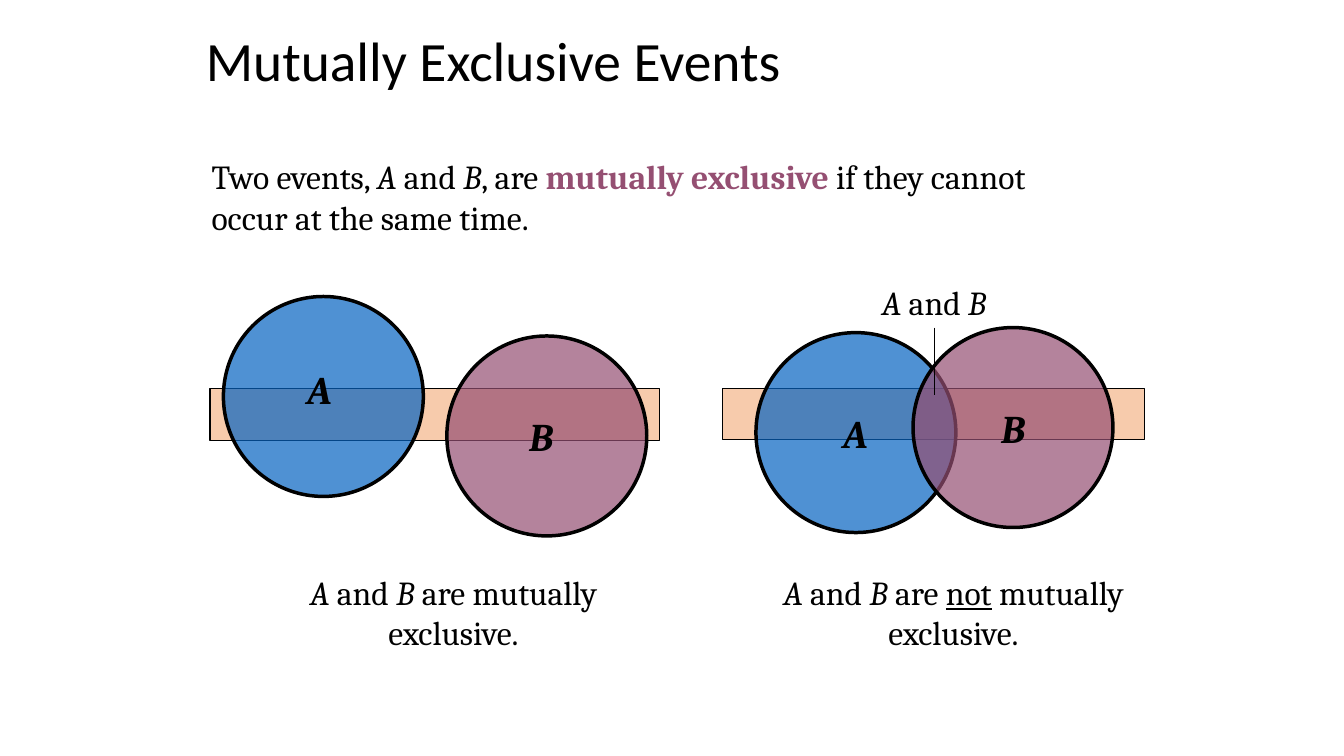
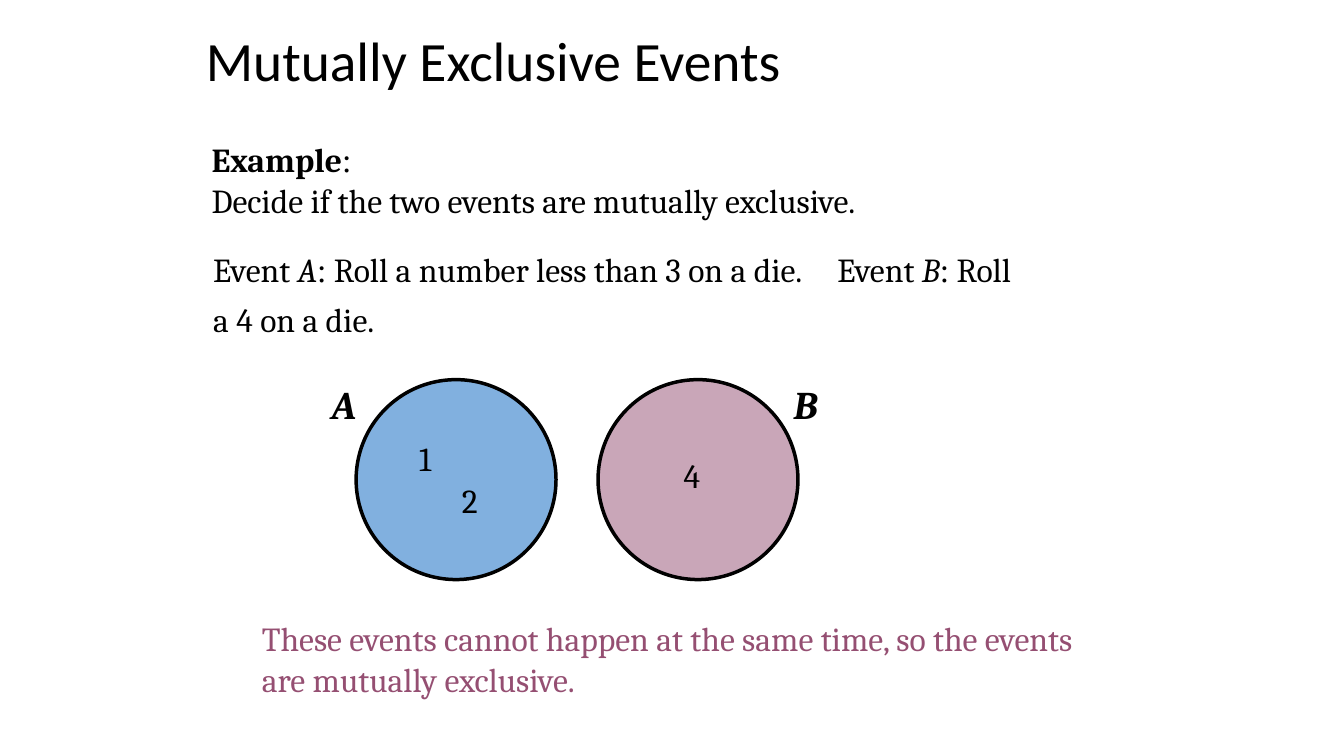
from dataclasses import dataclass
from pptx import Presentation
from pptx.dml.color import RGBColor
from pptx.enum.shapes import MSO_CONNECTOR, MSO_SHAPE
from pptx.enum.text import MSO_ANCHOR, MSO_AUTO_SIZE, PP_ALIGN
from pptx.oxml.ns import qn
from pptx.util import Inches, Pt
from lxml.etree import SubElement

WIDE, HIGH = Inches(13.33), Inches(7.5)
COLS, ROWS = 160, 90


@dataclass(frozen=True)
class Theme:
    ink: str = "000000"
    blue: str = "0563C1"
    plum: str = "954F72"
    peach: str = "ED7D31"
    head: str = "Calibri"
    body: str = "Cambria"
    colon: str = "Times New Roman"
    title: float = 39.6
    text: float = 24
    label: float = 28
    thin: float = 0.75
    thick: float = 2.5
    disc: float = 23.8  # columns


T = Theme()


def col(n):
    return round(WIDE * n / COLS)


def row(n):
    return round(HIGH * n / ROWS)


def cells(x, y, w, h):
    return col(x), row(y), col(w), row(h)


def rgb(code):
    return RGBColor.from_string(code)


def write(para, runs, size=T.text, face=T.body, color=T.ink):
    """Add (text, style) runs; style letters: b, i, u, p = plum, c = colon face."""
    for text, style in runs:
        run = para.add_run()
        run.text = text
        font = run.font
        font.size = Pt(size)
        font.name = T.colon if "c" in style else face
        font.color.rgb = rgb(T.plum if "p" in style else color)
        font.bold = "b" in style
        font.italic = "i" in style
        font.underline = "u" in style


def add_text(shapes, box, *lines, size=T.text, align=PP_ALIGN.LEFT, lead=None):
    frame = shapes.add_textbox(*cells(*box)).text_frame
    frame.word_wrap = True
    for n, runs in enumerate(lines):
        para = frame.add_paragraph() if n else frame.paragraphs[0]
        para.alignment = align
        if lead:
            para.line_spacing = lead
        write(para, runs, size)
    return frame


def add_shape(shapes, kind, box, fill, alpha, line):
    shape = shapes.add_shape(kind, *cells(*box))
    shape.shadow.inherit = False
    shape.fill.solid()
    shape.fill.fore_color.rgb = rgb(fill)
    paint = shape.fill._xPr.find(qn("a:solidFill"))[0]
    SubElement(paint, qn("a:alpha")).set("val", str(alpha * 1000))
    shape.line.color.rgb = rgb(T.ink)
    shape.line.width = Pt(line)


def add_disc(shapes, mid, fill, alpha):
    x, y = mid
    half = T.disc / 2
    box = (x - half, y - half, T.disc, T.disc)
    add_shape(shapes, MSO_SHAPE.OVAL, box, fill, alpha, T.thick)


def add_label(shapes, mid, shift, name):
    w, h = 8, 6.8
    box = (mid[0] + shift[0] - w / 2, mid[1] + shift[1] - h / 2, w, h)
    add_text(shapes, box, [(name, "bi")], size=T.label, align=PP_ALIGN.CENTER)


def add_venn(slide, band, sets):
    """Draw discs over a band; sets holds name, colour, centre from the band's corner, label shift."""
    shapes = slide.shapes.add_group_shape().shapes
    add_shape(shapes, MSO_SHAPE.RECTANGLE, band, T.peach, 40, T.thin)
    sets = [(n, c, (band[0] + x, band[1] + y), s) for n, c, (x, y), s in sets]
    for _, color, mid, _ in sets:
        add_disc(shapes, mid, color, 70)
    for name, _, mid, shift in sets:
        add_label(shapes, mid, shift, name)
    return shapes


def add_callout(shapes, x, y):
    """Name the overlap at column x, with a line down from row y."""
    add_text(shapes, (x - 10, y - 6, 20, 6),
             [("A ", "i"), ("and ", ""), ("B", "i")], align=PP_ALIGN.CENTER)
    line = shapes.add_connector(MSO_CONNECTOR.STRAIGHT,
                                col(x), row(y), col(x), row(y + 8))
    line.line.color.rgb = rgb(T.ink)
    line.line.width = Pt(T.thin)
    SubElement(line._element.spPr, qn("a:effectLst"))


def add_event(slide, mid, name, color, shift, marks):
    shapes = slide.shapes.add_group_shape().shapes
    add_label(shapes, mid, shift, name)
    add_disc(shapes, mid, color, 50)
    for text, x, y in marks:
        add_text(shapes, (mid[0] + x, mid[1] + y, 7, 6), [(text, "")])


def add_slide(deck):
    slide = deck.slides.add_slide(deck.slide_layouts[5])
    title = slide.shapes.title
    title.left, title.top, title.width, title.height = cells(23.3, 3.4, 113.3, 8.3)
    frame = title.text_frame
    frame.auto_size = MSO_AUTO_SIZE.NONE
    frame.vertical_anchor = MSO_ANCHOR.MIDDLE
    para = frame.paragraphs[0]
    para.alignment = PP_ALIGN.LEFT
    para.line_spacing = 0.9
    write(para, [("Mutually Exclusive Events", "")], T.title, T.head)
    return slide


def define(deck):
    slide = add_slide(deck)
    add_text(slide.shapes, (24, 18, 107, 11), [
        ("Two events, ", ""), ("A ", "i"), ("and ", ""), ("B", "i"),
        (", are ", ""), ("mutually exclusive", "bp"),
        (" if they cannot occur at the same time.", "")])
    add_venn(slide, (25, 46.3, 53.5, 6.1), [
        ("A", T.blue, (13.5, 0.9), (-0.5, -0.9)),
        ("B", T.plum, (40.1, 5.6), (-0.7, 0))])
    apart = [("are mutually exclusive.", "")]
    meet = [("are ", ""), ("not", "u"), (" mutually exclusive.", "")]
    shapes = add_venn(slide, (86, 46.2, 50.2, 6.1), [
        ("A", T.blue, (15.9, 5.3), (-0.1, 0)),
        ("B", T.plum, (34.6, 4.7), (0, 0))])
    add_callout(shapes, 111.2, 39)
    for x, w, tail in ((33, 42, apart), (91, 45, meet)):
        runs = [("A ", "i"), ("and ", ""), ("B", "i"), (" ", ""), *tail]
        add_text(slide.shapes, (x, 67.5, w, 11), runs, align=PP_ALIGN.CENTER)


def example(deck):
    slide = add_slide(deck)
    shapes = slide.shapes
    add_text(shapes, (24, 16, 107, 11),
             [("Example", "b"), (":", "c")],
             [("Decide if the two events are mutually exclusive.", "")])
    frame = add_text(shapes, (24.2, 27.8, 100, 13.2), [
        ("Event ", ""), ("A", "i"), (":", "c"),
        (" Roll a number less than 3 on a die.\tEvent ", ""),
        ("B", "i"), (":", "c"), (" Roll a 4 on a die.", "")], lead=1.25)
    stops = SubElement(frame.paragraphs[0]._p.get_or_add_pPr(), qn("a:tabLst"))
    stop = SubElement(stops, qn("a:tab"))
    stop.set("pos", str(col(74.3)))
    stop.set("algn", "l")
    add_text(shapes, (30, 73, 99, 11), [
        ("These events cannot happen at the same time, "
         "so the events are mutually exclusive.", "p")])
    add_event(slide, (54.3, 57.1), "A", T.blue, (-13.4, -9),
              [("1", -5.6, -5.5), ("2", -0.5, -0.5)])
    add_event(slide, (83.1, 57.1), "B", T.plum, (12.8, -9),
              [("4", -2.9, -3.5)])


def main():
    deck = Presentation()
    deck.slide_width, deck.slide_height = WIDE, HIGH
    define(deck)
    example(deck)
    deck.save("out.pptx")


if __name__ == "__main__":
    main()
